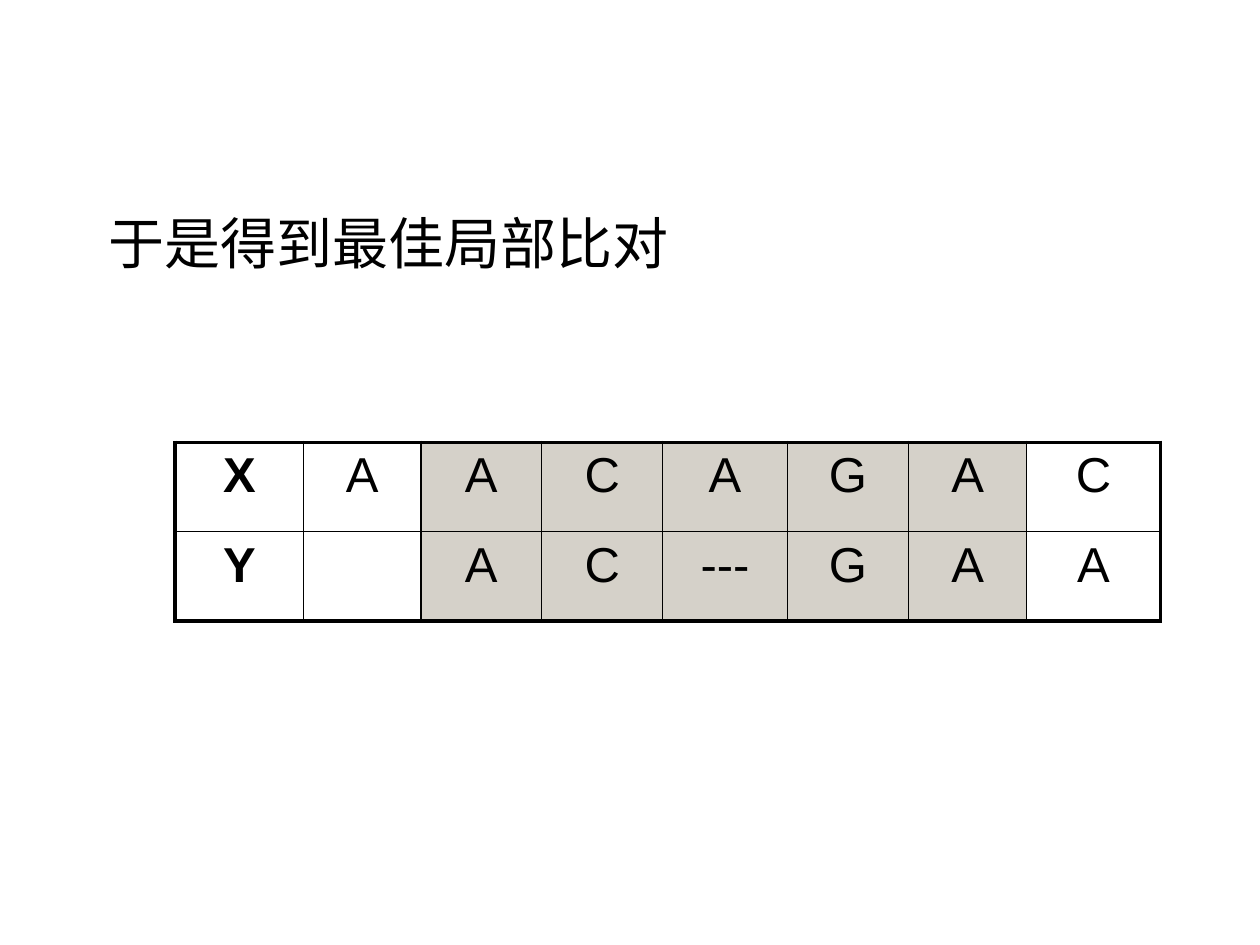
from dataclasses import dataclass

from lxml import etree
from pptx import Presentation
from pptx.dml.color import RGBColor
from pptx.enum.text import PP_ALIGN
from pptx.oxml.ns import qn
from pptx.util import Inches, Pt

CENTER = PP_ALIGN.CENTER


@dataclass(frozen=True)
class Theme:
    ink: str = "000000"
    paper: str = "FFFFFF"
    match: str = "D5D1C9"
    title_font: str = "Times New Roman"
    table_font: str = "Arial"
    title_size: int = 32
    table_size: int = 28
    inner_border: float = 1
    outer_border: float = 2.25


THEME = Theme()
ALIGNMENT = [
    ["X", "A", "A", "C", "A", "G", "A", "C"],
    ["Y", "", "A", "C", "---", "G", "A", "A"],
]
COLUMN_WIDTHS = [1.02, 0.93, 0.96, 0.96, 0.99, 0.96, 0.94, 1.06]
ROW_HEIGHT = 0.71
MATCHED_COLUMNS = range(2, 7)


def style_font(font, name, size, bold=False):
    font.name = name
    font.size = Pt(size)
    font.bold = bold
    font.color.rgb = RGBColor.from_string(THEME.ink)


def add_border(cell, side, is_outer):
    width = THEME.outer_border if is_outer else THEME.inner_border
    properties = cell._tc.get_or_add_tcPr()
    line = etree.SubElement(properties, qn(f"a:ln{side}"), w=str(Pt(width)))
    fill = etree.SubElement(line, qn("a:solidFill"))
    etree.SubElement(fill, qn("a:srgbClr"), val=THEME.ink)


presentation = Presentation()
presentation.slide_width = Inches(10)
presentation.slide_height = Inches(7.5)
slide = presentation.slides.add_slide(presentation.slide_layouts[6])

title = slide.shapes.add_textbox(Inches(0.76), Inches(1.61), Inches(6.94), Inches(0.63))
title.text_frame.word_wrap = True
title.text_frame.text = "于是得到最佳局部比对"
style_font(title.text_frame.paragraphs[0].runs[0].font, THEME.title_font, THEME.title_size)

row_count, column_count = len(ALIGNMENT), len(COLUMN_WIDTHS)
table = slide.shapes.add_table(
    row_count, column_count, Inches(1.39), Inches(3.51),
    Inches(sum(COLUMN_WIDTHS)), Inches(ROW_HEIGHT * row_count),
).table
table.first_row = False
table.horz_banding = False
for column, width in zip(table.columns, COLUMN_WIDTHS):
    column.width = Inches(width)

for row_index, letters in enumerate(ALIGNMENT):
    table.rows[row_index].height = Inches(ROW_HEIGHT)
    for column_index, letter in enumerate(letters):
        cell = table.cell(row_index, column_index)
        cell.text_frame.text = letter
        paragraph = cell.text_frame.paragraphs[0]
        paragraph.alignment = CENTER
        for run in paragraph.runs:
            style_font(run.font, THEME.table_font, THEME.table_size, bold=column_index == 0)

        add_border(cell, "L", column_index == 0)
        add_border(cell, "R", column_index == column_count - 1)
        add_border(cell, "T", row_index == 0)
        add_border(cell, "B", row_index == row_count - 1)
        color = THEME.match if column_index in MATCHED_COLUMNS else THEME.paper
        cell.fill.solid()
        cell.fill.fore_color.rgb = RGBColor.from_string(color)

presentation.save("out.pptx")
